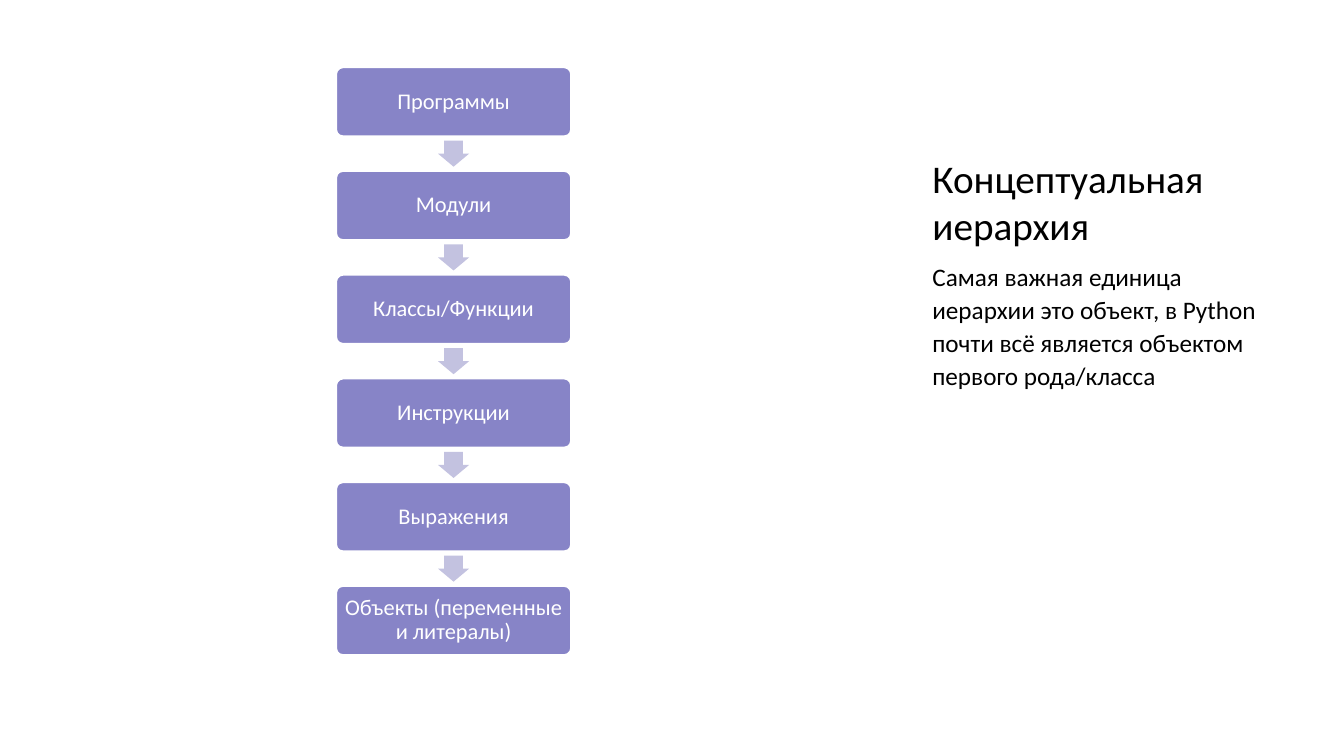
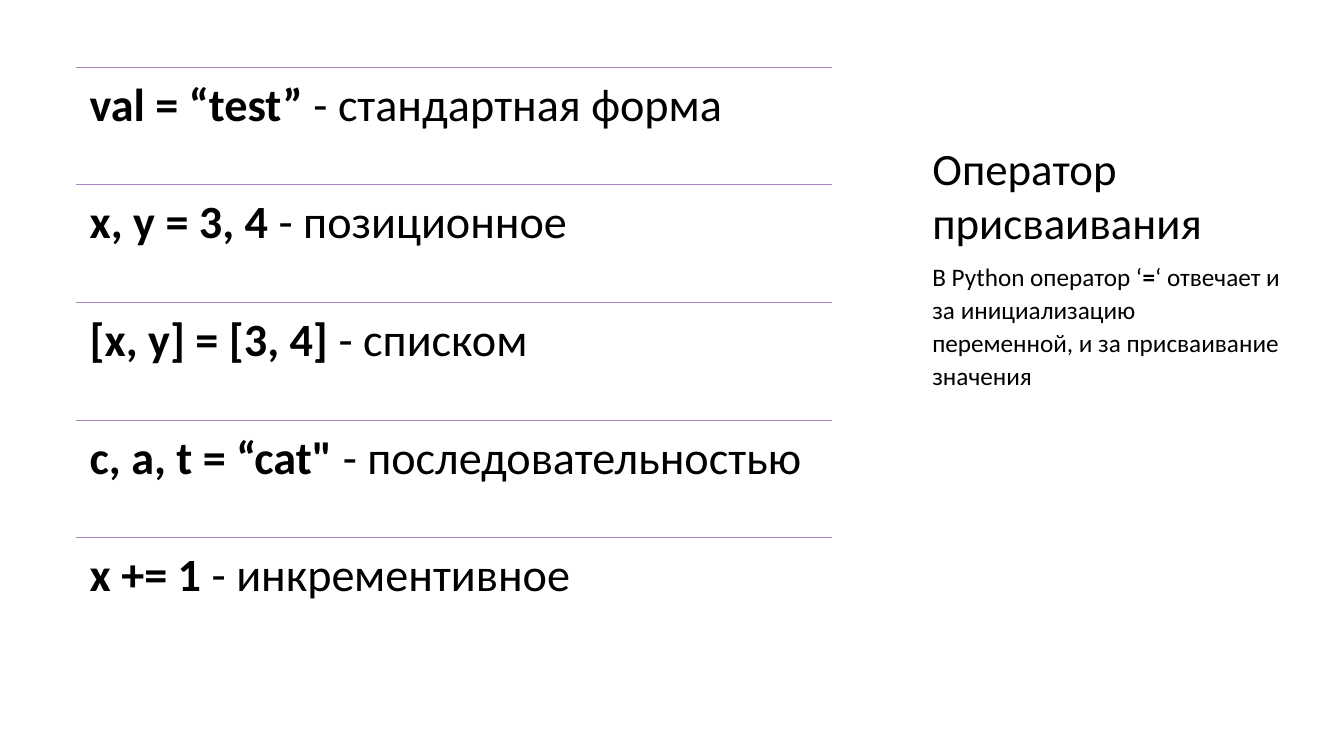
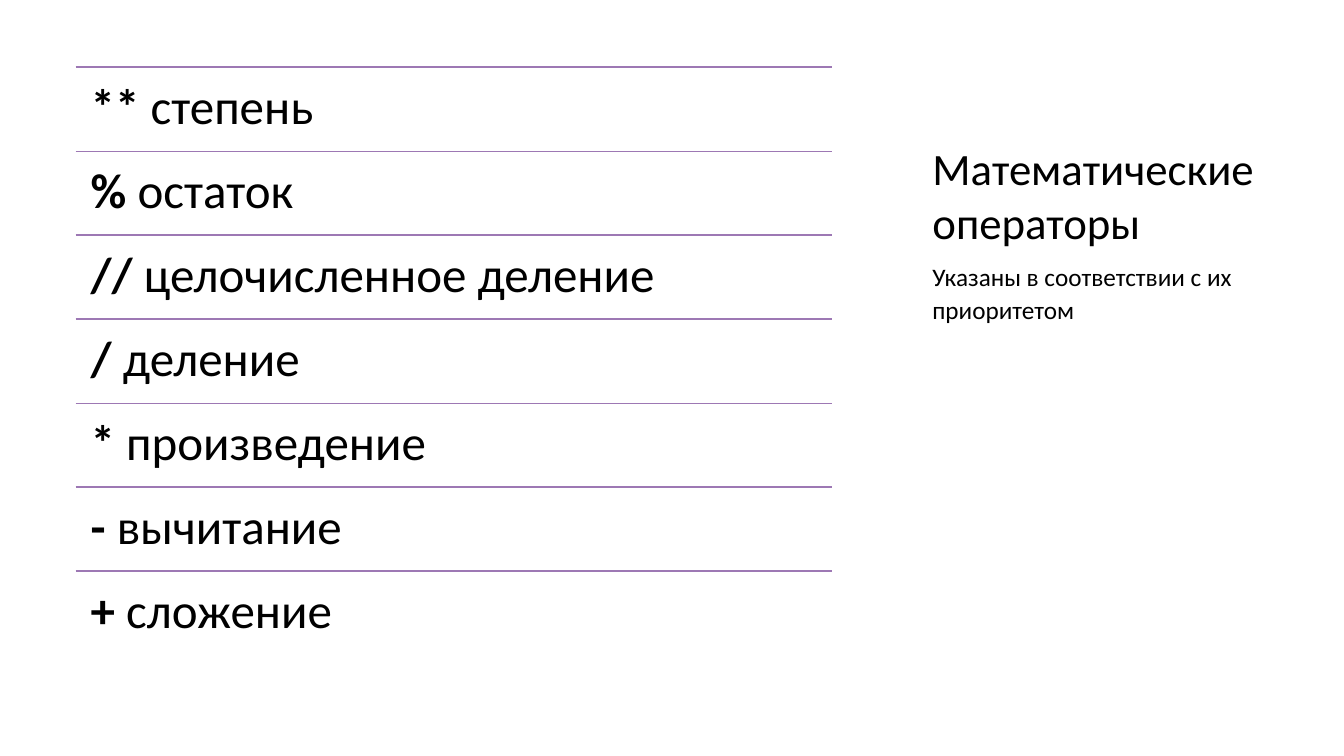
"""Build three slides on Python basics: concept hierarchy, assignment and arithmetic operators."""
from dataclasses import dataclass

from lxml import etree
from pptx import Presentation
from pptx import util as u
from pptx.dml.color import RGBColor
from pptx.enum import shapes, text
from pptx.oxml.ns import qn


@dataclass(frozen=True)
class Theme:
    font: str = "Calibri"
    ink: str = "000000"
    paper: str = "FFFFFF"
    step: str = "8784C7"
    arrow: str = "C3C2E0"
    light_rule: str = "AD84C6"
    dark_rule: str = "9D78B4"
    long_title_size: int = 28
    title_size: int = 32
    assignment_size: int = 33
    operator_size: int = 35
    body_size: int = 18
    step_size: int = 16


theme = Theme()
deck = Presentation()
COLUMNS, ROWS = 160, 90
cell = u.Inches(1) // 12
deck.slide_width, deck.slide_height = COLUMNS * cell, ROWS * cell
LEFT, TOP, RULE_WIDTH, BOTTOM = 9, 8, 90, 78
SIDE, NOTE_TOP = 111, 30.7


def grid(*cells):
    """Turn grid cells into lengths."""
    return [u.Emu(round(n * cell)) for n in cells]


def write(frame, runs, size, color=theme.ink, inset=0, spacing=1.0,
          anchor=text.MSO_ANCHOR.TOP, align=text.PP_ALIGN.LEFT, before=0):
    """Fill a frame with one paragraph of (words, bold) runs."""
    frame.word_wrap = True
    frame.vertical_anchor = anchor
    frame.margin_left = frame.margin_right = u.Inches(inset)
    frame.margin_top = frame.margin_bottom = u.Inches(inset)
    paragraph = frame.paragraphs[0]
    paragraph.alignment, paragraph.line_spacing = align, spacing
    paragraph.space_before = u.Pt(before)
    for words, bold in runs:
        run = paragraph.add_run()
        run.text = words
        run.font.name, run.font.size, run.font.bold = theme.font, u.Pt(size), bold
        run.font.color.rgb = RGBColor.from_string(color)


topics = [
    ("Концептуальная иерархия", theme.long_title_size,
     [("Самая важная единица иерархии это объект, в Python почти всё является "
       "объектом первого рода/класса", False)]),
    ("Оператор присваивания", theme.title_size,
     [("В Python оператор ‘", False), ("=", True),
      ("‘ отвечает и за инициализацию переменной, и за присваивание значения", False)]),
    ("Математические операторы", theme.title_size,
     [("Указаны в соответствии с их приоритетом", False)]),
]
slides = []
for title, title_size, summary in topics:
    slide = deck.slides.add_slide(deck.slide_layouts[6])
    slides.append(slide)
    heading = slide.shapes.add_textbox(*grid(SIDE, TOP, 44, 21.6))
    write(heading.text_frame, [(title, False)], title_size, anchor=text.MSO_ANCHOR.BOTTOM)
    note = slide.shapes.add_textbox(*grid(SIDE, NOTE_TOP, 41.5, BOTTOM - NOTE_TOP))
    write(note.text_frame, summary, theme.body_size, spacing=1.1, before=8)

hierarchy = ["Программы", "Модули", "Классы/Функции", "Инструкции", "Выражения",
             "Объекты (переменные и литералы)"]
step_left, step_width, step_height = 40, 28, 8.25
arrow_width, arrow_height = 3.7, 3.1
pitch = (BOTTOM - TOP - step_height) / (len(hierarchy) - 1)
gap = pitch - step_height
for level, concept in enumerate(hierarchy):
    top = TOP + level * pitch
    step = slides[0].shapes.add_shape(shapes.MSO_SHAPE.ROUNDED_RECTANGLE,
                                      *grid(step_left, top, step_width, step_height))
    step.shadow.inherit = False
    step.adjustments[0] = 0.1
    step.fill.solid()
    step.fill.fore_color.rgb = RGBColor.from_string(theme.step)
    step.line.color.rgb = RGBColor.from_string(theme.paper)
    step.line.width = u.Pt(1.5)
    write(step.text_frame, [(concept, False)], theme.step_size, theme.paper, 0.04, 0.9,
          text.MSO_ANCHOR.MIDDLE, text.PP_ALIGN.CENTER)
    if level < len(hierarchy) - 1:
        arrow = slides[0].shapes.add_shape(
            shapes.MSO_SHAPE.DOWN_ARROW,
            *grid(step_left + (step_width - arrow_width) / 2,
                  top + step_height + (gap - arrow_height) / 2, arrow_width, arrow_height))
        arrow.shadow.inherit = False
        arrow.adjustments[0], arrow.adjustments[1] = 0.6, 0.5
        arrow.fill.solid()
        arrow.fill.fore_color.rgb = RGBColor.from_string(theme.arrow)
        arrow.line.fill.background()

assignments = [
    ("val = “test” ", "- стандартная форма"),
    ("x, y = 3, 4 ", "- позиционное"),
    ("[x, y] = [3, 4] ", "- списком"),
    ("c, a, t = “cat\" ", "- последовательностью"),
    ("x += 1 ", "- инкрементивное"),
]
operators = [
    ("** ", "степень"),
    ("% ", "остаток"),
    ("// ", "целочисленное деление"),
    ("/ ", "деление"),
    ("* ", "произведение"),
    ("- ", "вычитание"),
    ("+ ", "сложение"),
]
listings = [
    (slides[1], assignments, theme.assignment_size, 0.14, theme.light_rule, 0.5),
    (slides[2], operators, theme.operator_size, 0.15, theme.dark_rule, 1),
]
for slide, entries, size, inset, rule_color, rule_weight in listings:
    row_height = (BOTTOM - TOP) / len(entries)
    for row, (code, meaning) in enumerate(entries):
        top = TOP + row * row_height
        rule = slide.shapes.add_connector(shapes.MSO_CONNECTOR.STRAIGHT,
                                          *grid(LEFT, top, LEFT + RULE_WIDTH, top))
        rule.line.color.rgb = RGBColor.from_string(rule_color)
        rule.line.width = u.Pt(rule_weight)
        etree.SubElement(rule._element.spPr, qn("a:effectLst"))
        entry = slide.shapes.add_textbox(*grid(LEFT, top, RULE_WIDTH, row_height))
        write(entry.text_frame, [(code, True), (meaning, False)], size, inset=inset, spacing=0.9)

deck.save("out.pptx")
